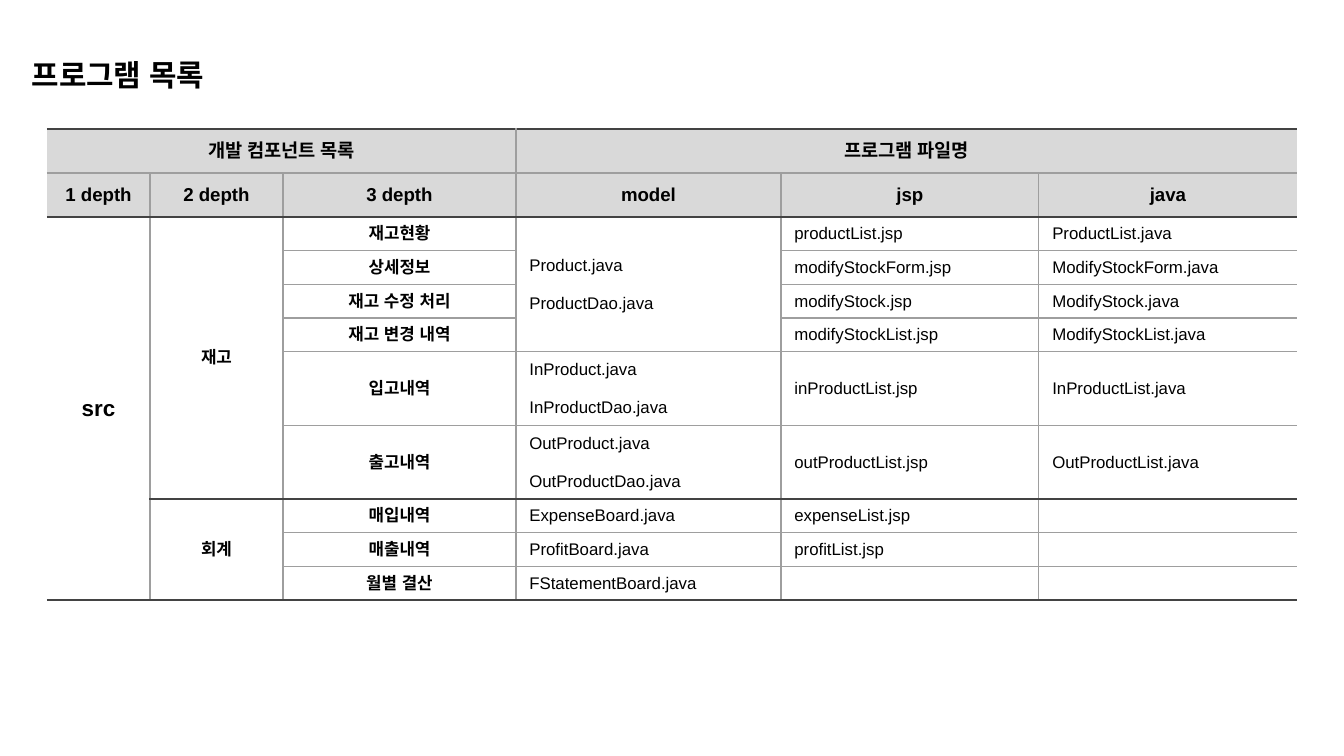
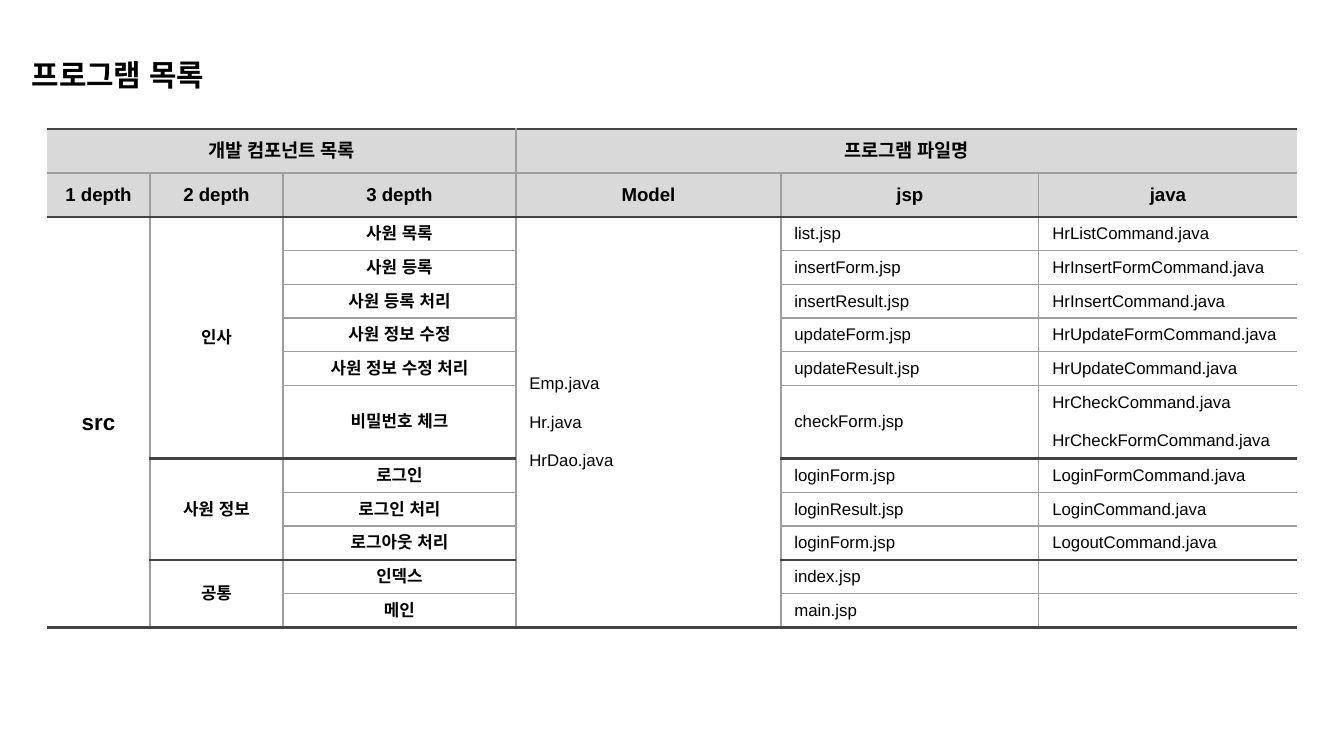
from lxml.etree import SubElement
from pptx import Presentation
from pptx.dml.color import RGBColor
from pptx.enum.text import MSO_ANCHOR, PP_ALIGN
from pptx.oxml.ns import qn
from pptx.util import Pt

SCALE = 914400 / 134.4
BLACK = RGBColor(0x00, 0x00, 0x00)
HEADER_GRAY = RGBColor(0xD9, 0xD9, 0xD9)
GRID_GRAY = RGBColor(0x9E, 0x9E, 0x9E)
RULE_GRAY = RGBColor(0x43, 0x43, 0x43)
FONT = "Arial"
NO_GRID_STYLE = "{2D5ABB26-0587-4C30-8999-92F81FD0307C}"

TITLE = "프로그램 목록"
COLUMNS = [103, 133, 233, 265, 258, 258]
HEADER_MERGES = [(0, 0, 1, 3), (0, 3, 1, 3)]
GROUP_ROW = ["개발 컴포넌트 목록", "", "", "프로그램 파일명", "", ""]
DEPTHS = ["1 depth", "2 depth", "3 depth"]

PAGES = [
    {
        "names": DEPTHS + ["model", "jsp", "java"],
        "height": 472,
        "row_heights": [44, 44, 31, 31, 31, 31, 74, 31, 31, 31, 31],
        "sections": [2, 8, 11],
        "merges": [(2, 0, 9, 1), (2, 1, 6, 1), (2, 3, 4, 1), (8, 1, 3, 1)],
        "rows": [
            ["src", "재고", "재고현황", "Product.java\nProductDao.java", "productList.jsp", "ProductList.java"],
            ["", "", "상세정보", "", "modifyStockForm.jsp", "ModifyStockForm.java"],
            ["", "", "재고 수정 처리", "", "modifyStock.jsp", "ModifyStock.java"],
            ["", "", "재고 변경 내역", "", "modifyStockList.jsp", "ModifyStockList.java"],
            ["", "", "입고내역", "InProduct.java\nInProductDao.java", "inProductList.jsp", "InProductList.java"],
            ["", "", "출고내역", "OutProduct.java\nOutProductDao.java", "outProductList.jsp", "OutProductList.java"],
            ["", "회계", "매입내역", "ExpenseBoard.java", "expenseList.jsp", ""],
            ["", "", "매출내역", "ProfitBoard.java", "profitList.jsp", ""],
            ["", "", "월별 결산", "FStatementBoard.java", "", ""],
        ],
    },
    {
        "names": DEPTHS + ["Model", "jsp", "java"],
        "height": 499,
        "row_heights": [44, 44] + [31] * 9 + [34, 31],
        "sections": [2, 8, 11, 13],
        "merges": [(2, 0, 11, 1), (2, 1, 6, 1), (2, 3, 11, 1), (8, 1, 3, 1), (11, 1, 2, 1)],
        "rows": [
            ["src", "인사", "사원 목록", "Emp.java\nHr.java\nHrDao.java", "list.jsp", "HrListCommand.java"],
            ["", "", "사원 등록", "", "insertForm.jsp", "HrInsertFormCommand.java"],
            ["", "", "사원 등록 처리", "", "insertResult.jsp", "HrInsertCommand.java"],
            ["", "", "사원 정보 수정", "", "updateForm.jsp", "HrUpdateFormCommand.java"],
            ["", "", "사원 정보 수정 처리", "", "updateResult.jsp", "HrUpdateCommand.java"],
            ["", "", "비밀번호 체크", "", "checkForm.jsp", "HrCheckCommand.java\nHrCheckFormCommand.java"],
            ["", "사원 정보", "로그인", "", "loginForm.jsp", "LoginFormCommand.java"],
            ["", "", "로그인 처리", "", "loginResult.jsp", "LoginCommand.java"],
            ["", "", "로그아웃 처리", "", "loginForm.jsp", "LogoutCommand.java"],
            ["", "공통", "인덱스", "", "index.jsp", ""],
            ["", "", "메인", "", "main.jsp", ""],
        ],
    },
]


def write(frame, text, size, bold, align):
    for index, line in enumerate(text.split("\n")):
        para = frame.add_paragraph() if index else frame.paragraphs[0]
        para.alignment = align
        if index:
            para.space_before = Pt(10.35)
        if not line:
            SubElement(para._p, qn("a:endParaRPr"), sz=str(size * 100))
            continue
        span = para.add_run()
        span.text = line
        for name, value in {"name": FONT, "size": Pt(size), "bold": bold}.items():
            setattr(span.font, name, value)
        span.font.color.rgb = BLACK
        SubElement(span._r.get_or_add_rPr(), qn("a:ea"), typeface=FONT)


def draw_border(cell, side, color, width):
    line = SubElement(cell._tc.get_or_add_tcPr(), qn("a:ln" + side), w=str(Pt(width)))
    if color is None:
        SubElement(line, qn("a:noFill"))
    else:
        fill = SubElement(line, qn("a:solidFill"))
        SubElement(fill, qn("a:srgbClr"), val=str(color))


deck = Presentation()
deck.slide_width = round(1344 * SCALE)
deck.slide_height = round(756 * SCALE)

for content in PAGES:
    page = deck.slides.add_slide(deck.slide_layouts[6])

    box = page.shapes.add_textbox(*[round(v * SCALE) for v in (19, 44, 363, 85)])
    inset = round(13 * SCALE)
    box_format = {"word_wrap": True, "margin_left": inset, "margin_right": inset,
                  "margin_top": inset, "margin_bottom": inset}
    for name, value in box_format.items():
        setattr(box.text_frame, name, value)
    write(box.text_frame, TITLE, 16, True, PP_ALIGN.LEFT)

    rows = [GROUP_ROW, content["names"]] + content["rows"]
    place = [round(v * SCALE) for v in (47, 129, sum(COLUMNS), content["height"])]
    holder = page.shapes.add_table(len(rows), len(COLUMNS), *place)
    table = holder.table
    table.first_row = False
    table.horz_banding = False
    table._tbl.tblPr.find(qn("a:tableStyleId")).text = NO_GRID_STYLE
    for column, width in zip(table.columns, COLUMNS):
        column.width = round(width * SCALE)
    for row, height in zip(table.rows, content["row_heights"]):
        row.height = round(height * SCALE)
    holder.height = place[3]

    for top, left, height, width in HEADER_MERGES + content["merges"]:
        table.cell(top, left).merge(table.cell(top + height - 1, left + width - 1))

    rules = [0] + content["sections"]
    for r, texts in enumerate(rows):
        for c, text in enumerate(texts):
            cell = table.cell(r, c)
            header = r < 2
            labelled = header or c < 3
            size = 10 if header else 12 if text == "src" else 9
            write(cell.text_frame, text, size, labelled,
                  PP_ALIGN.CENTER if labelled else PP_ALIGN.LEFT)
            cell.vertical_anchor = MSO_ANCHOR.MIDDLE
            if cell.is_spanned:
                continue
            bottom = r + (cell.span_height if cell.is_merge_origin else 1)
            right = c + (cell.span_width if cell.is_merge_origin else 1)
            draw_border(cell, "L", GRID_GRAY if c else None, 0.75)
            draw_border(cell, "R", GRID_GRAY if right < len(COLUMNS) else None, 0.75)
            for side, edge in (("T", r), ("B", bottom)):
                if edge in rules:
                    draw_border(cell, side, RULE_GRAY, 1.5)
                else:
                    draw_border(cell, side, GRID_GRAY, 0.75)
            if header:
                cell.fill.solid()
                cell.fill.fore_color.rgb = HEADER_GRAY
            else:
                cell.fill.background()

deck.save("out.pptx")
